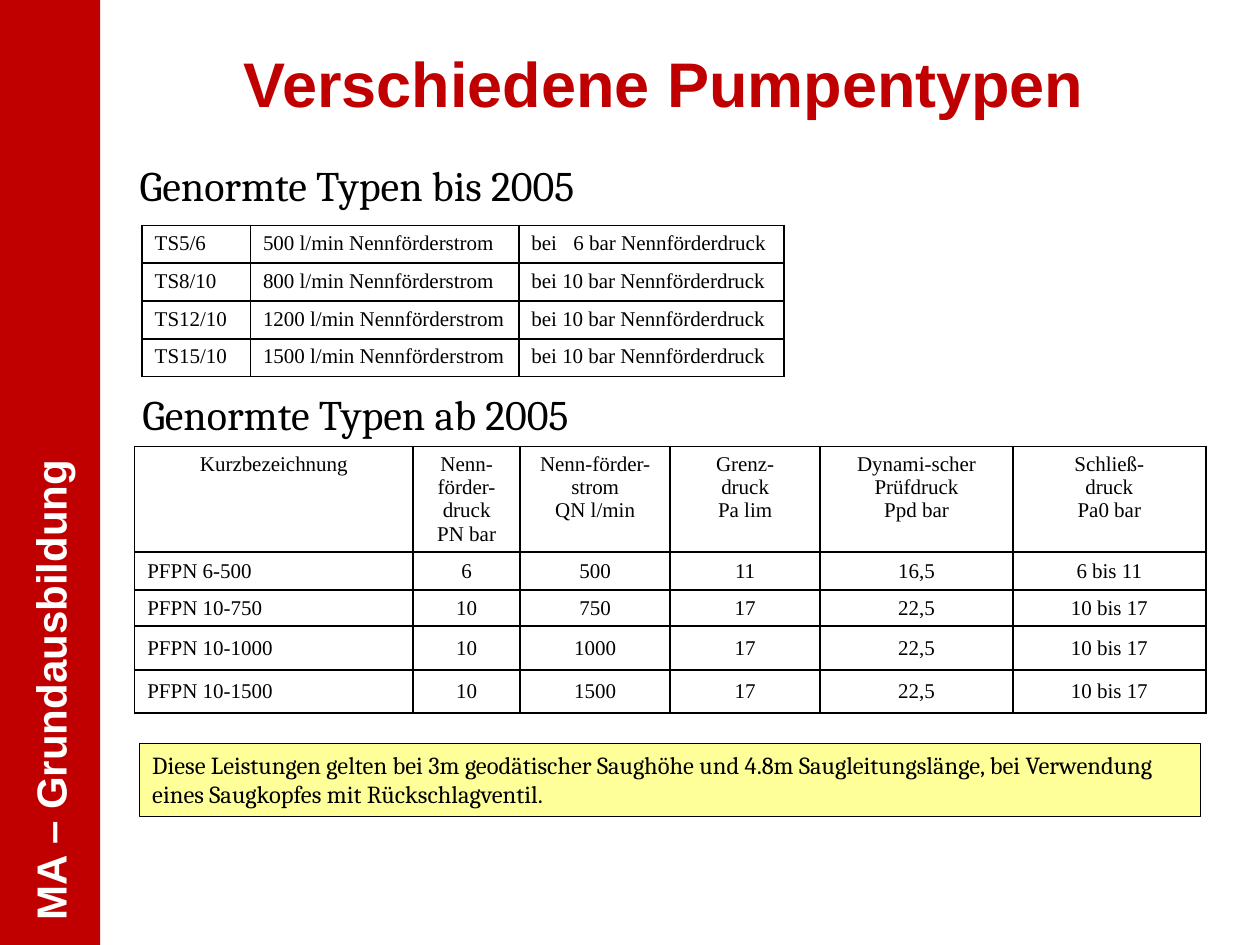
from lxml.etree import SubElement
from pptx import Presentation
from pptx.dml.color import RGBColor
from pptx.enum.shapes import MSO_SHAPE
from pptx.enum.text import MSO_ANCHOR, PP_ALIGN
from pptx.oxml.ns import qn
from pptx.util import Pt

COLORS = {"red": "C00000", "black": "000000", "white": "FFFFFF", "yellow": "FFFF99"}

TITLE = "Verschiedene Pumpentypen"
BAND = "MA – Grundausbildung"
HEADINGS = [
    ("Genormte Typen bis 2005", 72.7, 87.8),
    ("Genormte Typen ab 2005", 74.2, 218.2),
]
NOTE = ("Diese Leistungen gelten bei 3m geodätischer Saughöhe und 4.8m "
        "Saugleitungslänge, bei Verwendung eines Saugkopfes mit Rückschlagventil.")

OLD_TYPES = [
    ["TS5/6", "500 l/min Nennförderstrom", "bei\t6 bar Nennförderdruck"],
    ["TS8/10", "800 l/min Nennförderstrom", "bei 10 bar Nennförderdruck"],
    ["TS12/10", "1200 l/min Nennförderstrom", "bei 10 bar Nennförderdruck"],
    ["TS15/10", "1500 l/min Nennförderstrom", "bei 10 bar Nennförderdruck"],
]
NEW_HEADER = [
    ["Kurzbezeichnung"],
    ["Nenn-förder-\ndruck", "PN bar"],
    ["Nenn-förder-\nstrom", "QN l/min"],
    ["Grenz-\ndruck", "Pa lim"],
    ["Dynami-scher", "Prüfdruck", "Ppd bar"],
    ["Schließ-\ndruck", "Pa0 bar"],
]
NEW_TYPES = [
    ["PFPN 6-500", "6", "500", "11", "16,5", "6 bis 11"],
    ["PFPN 10-750", "10", "750", "17", "22,5", "10 bis 17"],
    ["PFPN 10-1000", "10", "1000", "17", "22,5", "10 bis 17"],
    ["PFPN 10-1500", "10", "1500", "17", "22,5", "10 bis 17"],
]


def rgb(name):
    return RGBColor.from_string(COLORS[name])


def write(tf, paragraphs, font, size, color="black", bold=False, align=PP_ALIGN.LEFT):
    for i, text in enumerate(paragraphs):
        p = tf.paragraphs[0] if i == 0 else tf.add_paragraph()
        p.alignment = align
        if "\t" in text:
            tabs = SubElement(p._p.get_or_add_pPr(), qn("a:tabLst"))
            SubElement(tabs, qn("a:tab"), pos=str(Pt(24)), algn="l")
        for j, line in enumerate(text.split("\n")):
            if j:
                p.add_line_break()
            r = p.add_run()
            r.text = line
            r.font.name, r.font.size, r.font.bold = font, Pt(size), bold
            r.font.color.rgb = rgb(color)


def add_box(s, left, top, width, height, fill):
    sp = s.shapes.add_shape(MSO_SHAPE.RECTANGLE, Pt(left), Pt(top), Pt(width), Pt(height))
    sp.shadow.inherit = False
    sp.fill.solid()
    sp.fill.fore_color.rgb = rgb(fill)
    sp.text_frame.word_wrap = True
    return sp


def add_borders(cell):
    tcPr = cell._tc.get_or_add_tcPr()
    for i, side in enumerate(("lnL", "lnR", "lnT", "lnB")):
        ln = tcPr.makeelement(qn(f"a:{side}"), {"w": str(Pt(1))})
        fill = SubElement(ln, qn("a:solidFill"))
        SubElement(fill, qn("a:srgbClr"), val=COLORS["black"])
        tcPr.insert(i, ln)


def add_grid(s, rows, left, top, widths, heights, style):
    frame = s.shapes.add_table(len(rows), len(widths), Pt(left), Pt(top),
                               Pt(sum(widths)), Pt(sum(heights)))
    table = frame.table
    table.first_row = table.horz_banding = False
    for col, width in zip(table.columns, widths):
        col.width = Pt(width)
    for i, (row, height) in enumerate(zip(rows, heights)):
        table.rows[i].height = Pt(height)
        for j, content in enumerate(row):
            cell = table.cell(i, j)
            cell.fill.background()
            align, cell.vertical_anchor = style(i, j)
            paragraphs = [content] if isinstance(content, str) else content
            write(cell.text_frame, paragraphs, "Times New Roman", 12, align=align)
            add_borders(cell)


def old_style(i, j):
    return PP_ALIGN.LEFT, MSO_ANCHOR.TOP


def new_style(i, j):
    align = PP_ALIGN.LEFT if i and j == 0 else PP_ALIGN.CENTER
    return align, MSO_ANCHOR.MIDDLE if i else MSO_ANCHOR.TOP


def main():
    prs = Presentation()
    prs.slide_width, prs.slide_height = Pt(720), Pt(540)
    s = prs.slides.add_slide(prs.slide_layouts[5])

    band = add_box(s, -241.8, 241.2, 540.6, 57.6, "red")
    band.rotation = 270
    band.line.fill.background()
    band.text_frame.margin_left = Pt(14.4)
    band.text_frame.vertical_anchor = MSO_ANCHOR.MIDDLE
    write(band.text_frame, [BAND], "Arial", 24, "white", True)

    add_grid(s, OLD_TYPES, 81.2, 128.8, [61.9, 153.4, 151.4], [21.6] * 4, old_style)
    add_grid(s, [NEW_HEADER] + NEW_TYPES, 77, 255, [159.1, 61.2, 85.7, 85.7, 110.2, 110.2],
             [46, 21.6, 16.6, 25.2, 24.5], new_style)

    note = add_box(s, 79.9, 424.8, 606.2, 41.8, "yellow")
    note.line.color.rgb = rgb("black")
    note.line.width = Pt(0.75)
    note.text_frame.vertical_anchor = MSO_ANCHOR.TOP
    write(note.text_frame, [NOTE], "Cambria", 14)

    for text, left, top in HEADINGS:
        tf = s.shapes.add_textbox(Pt(left), Pt(top), Pt(491), Pt(36)).text_frame
        tf.word_wrap = True
        write(tf, [text], "Cambria", 24)

    title = s.shapes.title
    title.left, title.top, title.width, title.height = Pt(48.2), Pt(19.4), Pt(662.4), Pt(62.6)
    title.text_frame.vertical_anchor = MSO_ANCHOR.MIDDLE
    title.text_frame.margin_bottom = Pt(10.8)
    write(title.text_frame, [TITLE], "Arial", 36, "red", True, PP_ALIGN.CENTER)

    prs.save("out.pptx")


if __name__ == "__main__":
    main()
